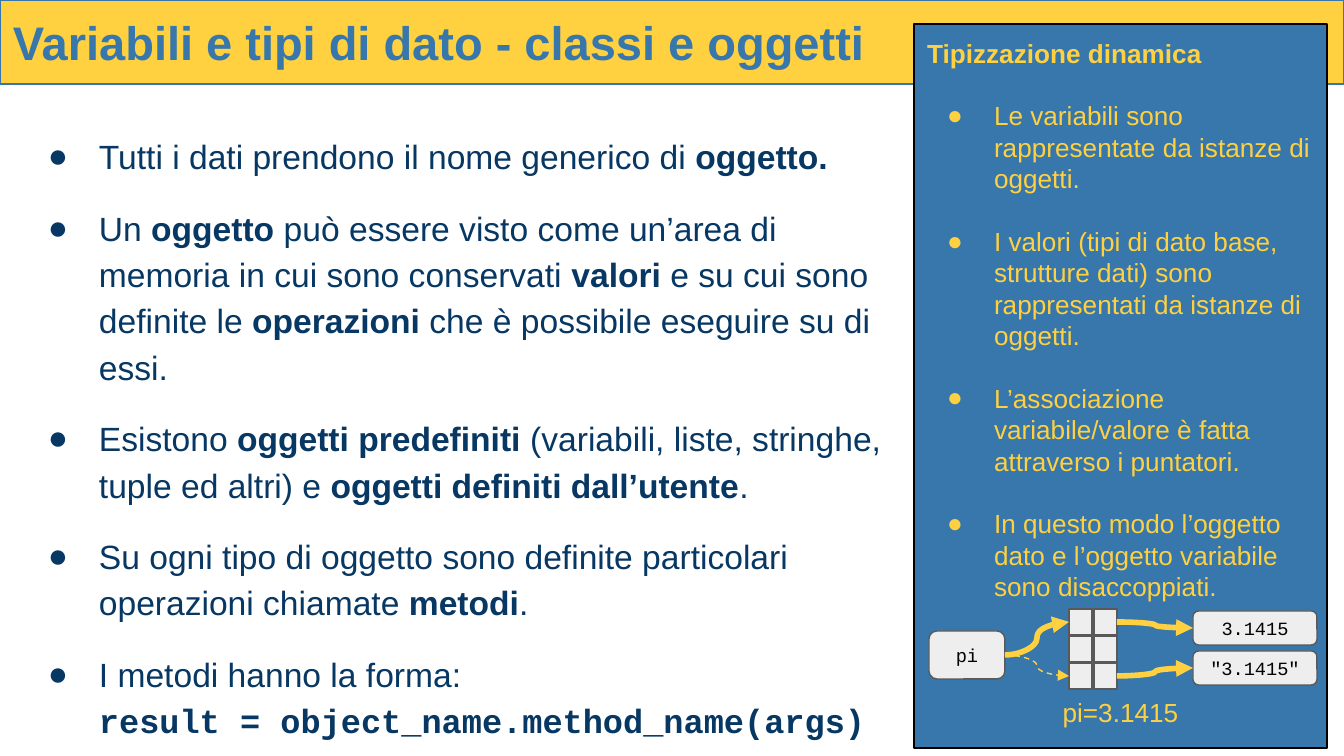
from typing import NamedTuple

from lxml import etree
from pptx import Presentation
from pptx.dml.color import RGBColor
from pptx.enum.dml import MSO_LINE
from pptx.enum.shapes import MSO_CONNECTOR, MSO_SHAPE
from pptx.enum.text import MSO_ANCHOR, PP_ALIGN
from pptx.oxml.ns import qn
from pptx.util import Pt

RECT, ROUND = MSO_SHAPE.RECTANGLE, MSO_SHAPE.ROUNDED_RECTANGLE
CURVE, DASH = MSO_CONNECTOR.CURVE, MSO_LINE.DASH
TOP, MIDDLE = MSO_ANCHOR.TOP, MSO_ANCHOR.MIDDLE
LEFT, CENTER = PP_ALIGN.LEFT, PP_ALIGN.CENTER
LEFT_SIDE, RIGHT_SIDE = 1, 3

WIDE, HIGH = 1344, 756
SCALE = 9144000 / WIDE
SANS, MONO = "Arial", "Courier New"
COLORS = {"gold": "FFD141", "blue": "3777AB", "navy": "073763",
          "black": "000000", "pale": "EEEEEE", "gray": "595959"}


class Box(NamedTuple):
    x: int
    y: int
    w: int
    h: int


class Style(NamedTuple):
    size: float
    color: str
    font: str = SANS
    bold: bool = False


class Arrow(NamedTuple):
    start: object
    end: object
    width: float = 3
    dash: bool = False


def px(n: int) -> int:
    return round(n * SCALE)


def rgb(name: str) -> RGBColor:
    return RGBColor.from_string(COLORS[name])


def set_frame(frame, anchor) -> None:
    frame.word_wrap = True
    frame.vertical_anchor = anchor
    frame.margin_left = frame.margin_right = px(13)
    frame.margin_top = frame.margin_bottom = px(13)


def add_box(slide, kind, box: Box, fill: str, line: str,
            width: float = 0.75, anchor=MIDDLE):
    shape = slide.shapes.add_shape(kind, *map(px, box))
    shape.shadow.inherit = False
    shape.fill.solid()
    shape.fill.fore_color.rgb = rgb(fill)
    shape.line.color.rgb = rgb(line)
    shape.line.width = Pt(width)
    set_frame(shape.text_frame, anchor)
    return shape


def write(para, text: str, style: Style, align=LEFT) -> None:
    """Fill a paragraph; words between asterisks are bold."""
    para.alignment = align
    font = para.font
    font.size, font.name, font.bold = Pt(style.size), style.font, style.bold
    font.color.rgb = rgb(style.color)
    for i, part in enumerate(text.split("*")):
        if part:
            run = para.add_run()
            run.text = part
            if i % 2:
                run.font.bold = True


def add_bullet(para, color: str, hang: int) -> None:
    props = para._p.get_or_add_pPr()
    props.set("marL", str(px(67)))
    props.set("indent", str(-px(hang)))
    tint = etree.Element(qn("a:buClr"))
    etree.SubElement(tint, qn("a:srgbClr"), val=COLORS[color])
    font = etree.Element(qn("a:buFont"), typeface=SANS)
    mark = etree.Element(qn("a:buChar"), char="●")
    spot = props.find(qn("a:defRPr"))
    for item in (tint, font, mark):
        spot.addprevious(item)


def add_arrow(slide, arrow: Arrow) -> None:
    line = slide.shapes.add_connector(CURVE, 0, 0, 0, 0)
    line.begin_connect(arrow.start, RIGHT_SIDE)
    line.end_connect(arrow.end, LEFT_SIDE)
    line.line.color.rgb = rgb("gold")
    line.line.width = Pt(arrow.width)
    if arrow.dash:
        line.line.dash_style = DASH
    etree.SubElement(line.line._get_or_add_ln(), qn("a:tailEnd"), type="triangle")
    etree.SubElement(line._element.spPr, qn("a:effectLst"))


def add_node(slide, box: Box, text: str):
    node = add_box(slide, ROUND, box, "pale", "gray")
    write(node.text_frame.paragraphs[0], text, Style(10, "black", MONO), CENTER)
    return node


POINTS = [
    "Tutti i dati prendono il nome generico di *oggetto.*",
    "Un *oggetto* può essere visto come un’area di memoria in cui sono "
    "conservati *valori* e su cui sono definite le *operazioni* che è "
    "possibile eseguire su di essi.",
    "Esistono *oggetti predefiniti* (variabili, liste, stringhe, tuple ed "
    "altri) e *oggetti definiti dall’utente*.",
    "Su ogni tipo di oggetto sono definite particolari operazioni chiamate "
    "*metodi*.",
    "I metodi hanno la forma:",
]
NOTES = [
    "Le variabili sono rappresentate da istanze di oggetti.",
    "I valori (tipi di dato base, strutture dati) sono rappresentati da "
    "istanze di oggetti.",
    "L’associazione variabile/valore è fatta attraverso i puntatori.",
    "In questo modo l’oggetto dato e l’oggetto variabile sono disaccoppiati.",
]


def main() -> None:
    deck = Presentation()
    deck.slide_width, deck.slide_height = px(WIDE), px(HIGH)
    slide = deck.slides.add_slide(deck.slide_layouts[6])

    # Title bar
    bar = add_box(slide, RECT, Box(0, 0, WIDE, 84), "gold", "blue")
    write(bar.text_frame.paragraphs[0],
          "Variabili e tipi di dato - classi e oggetti",
          Style(25.2, "blue", bold=True))

    # Main points
    body = slide.shapes.add_textbox(*map(px, Box(19, 117, 910, 574))).text_frame
    set_frame(body, TOP)
    for i, text in enumerate(POINTS):
        para = body.add_paragraph() if i else body.paragraphs[0]
        write(para, text, Style(18, "navy"))
        para.line_spacing = 1.15
        para.space_after = Pt(13.5)
        add_bullet(para, "navy", 51)
    para.add_line_break()
    code = para.add_run()
    code.text = "result = object_name.method_name(args)"
    code.font.name, code.font.bold = MONO, True

    # Side panel
    panel = add_box(slide, RECT, Box(914, 24, 413, 724), "blue", "black", 1.5, TOP)
    side = panel.text_frame
    plain = Style(14, "gold")
    head = side.paragraphs[0]
    write(head, "Tipizzazione dinamica", plain._replace(bold=True))
    head.space_after = Pt(16.8)
    for text in NOTES:
        para = side.add_paragraph()
        write(para, text, plain)
        para.space_after = Pt(16.8)
        add_bullet(para, "gold", 47)
    para.space_after = Pt(50.4)
    write(side.add_paragraph(), "pi=3.1415", plain, CENTER)

    # Pointer diagram: name, table of cells, values
    name = add_node(slide, Box(929, 631, 76, 48), "pi")
    cells = [[add_box(slide, RECT, Box(1069 + 25 * col, 609 + 27 * row, 23, 26),
                      "pale", "gray") for col in range(2)] for row in range(3)]
    number, string = [add_node(slide, Box(1193, 611 + 40 * i, 124, 34), text)
                      for i, text in enumerate(("3.1415", '"3.1415"'))]
    for arrow in (Arrow(name, cells[0][0]), Arrow(cells[0][1], number),
                  Arrow(cells[2][1], string),
                  Arrow(name, cells[2][0], 0.75, True)):
        add_arrow(slide, arrow)

    deck.save("out.pptx")


if __name__ == "__main__":
    main()
